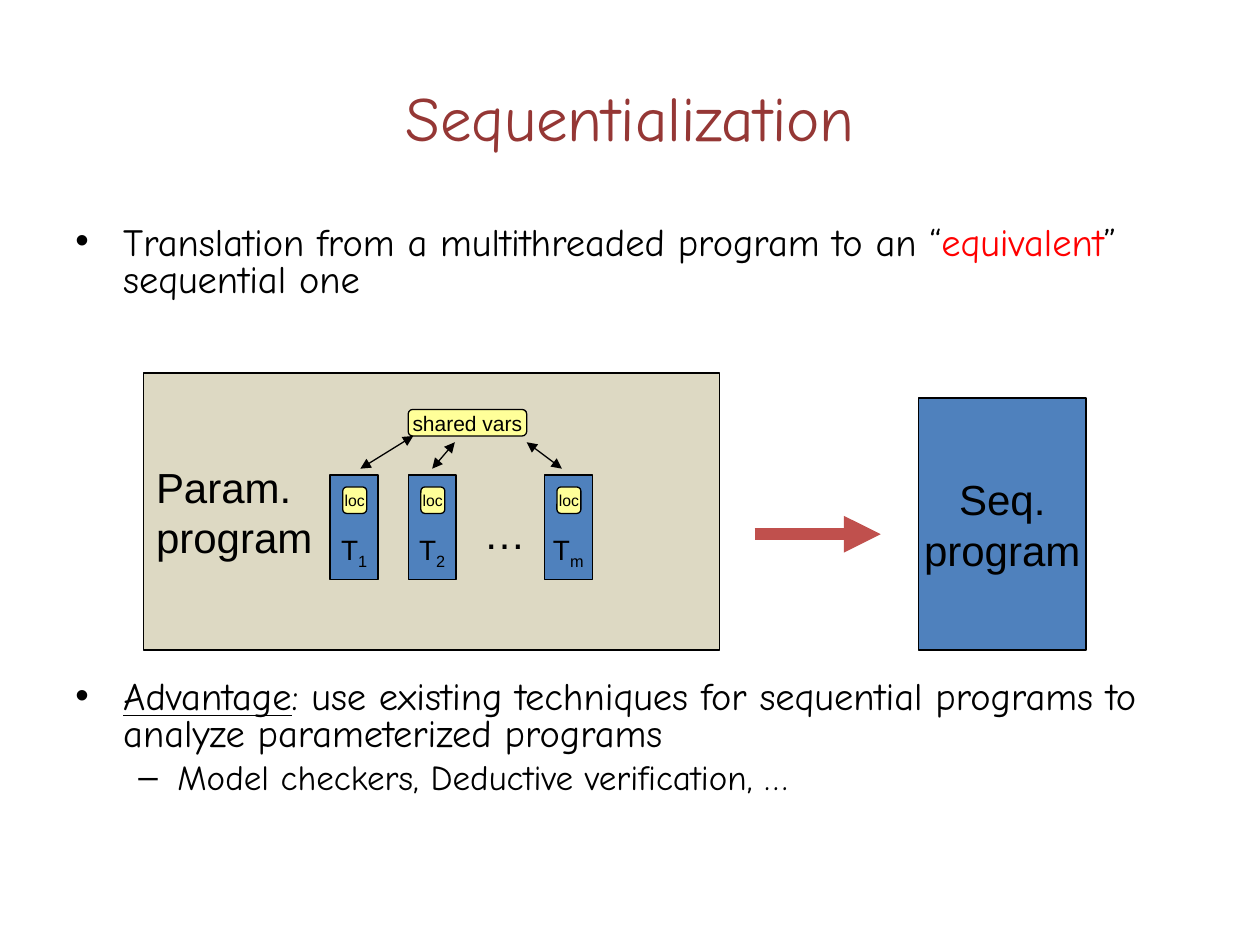
from dataclasses import dataclass

from lxml.etree import SubElement
from pptx import Presentation
from pptx.dml.color import RGBColor
from pptx.enum.shapes import MSO_CONNECTOR, MSO_SHAPE
from pptx.enum.text import MSO_ANCHOR, PP_ALIGN
from pptx.oxml.ns import qn
from pptx.util import Inches, Pt

BLACK = RGBColor(0x00, 0x00, 0x00)
RED = RGBColor(0xFF, 0x00, 0x00)
MAROON = RGBColor(0x95, 0x37, 0x35)
SAND = RGBColor(0xDD, 0xD9, 0xC3)
BLUE = RGBColor(0x4F, 0x81, 0xBD)
YELLOW = RGBColor(0xFF, 0xFF, 0x99)
BRICK = RGBColor(0xC0, 0x50, 0x4D)

# The slide is a grid of 100 columns by 75 rows
COLUMNS, ROWS = 100, 75
CELL = Inches(10) // COLUMNS


@dataclass(frozen=True)
class Area:
    col: float
    row: float
    cols: float
    rows: float

    def emu(self) -> list[int]:
        return [grid(n) for n in (self.col, self.row, self.cols, self.rows)]


@dataclass(frozen=True)
class Span:
    text: str
    size: float
    font: str = "Arial"
    color: RGBColor = BLACK
    underline: bool = False
    subscript: bool = False


@dataclass(frozen=True)
class Bullet:
    spans: list[Span]
    mark: str
    indent: float
    hang: float
    level: int = 0
    before: float = 0


@dataclass(frozen=True)
class Thread:
    col: float
    index: str


@dataclass(frozen=True)
class Arrow:
    start: tuple[float, float]
    end: tuple[float, float]
    color: RGBColor = BLACK
    width: float = 0.75
    double: bool = True


def grid(cells: float) -> int:
    return round(cells * CELL)


def add_spans(paragraph, spans: list[Span]) -> None:
    for span in spans:
        run = paragraph.add_run()
        run.text = span.text
        run.font.size = Pt(span.size)
        run.font.name = span.font
        run.font.color.rgb = span.color
        if span.underline:
            run.font.underline = True
        if span.subscript:
            run._r.get_or_add_rPr().set("baseline", "-25000")


def write(frame, lines: list[list[Span]], align=PP_ALIGN.CENTER, top: float = 0.05) -> None:
    frame.word_wrap = align == PP_ALIGN.LEFT
    frame.vertical_anchor = MSO_ANCHOR.MIDDLE
    frame.margin_top = Inches(top)
    for number, spans in enumerate(lines):
        paragraph = frame.add_paragraph() if number else frame.paragraphs[0]
        paragraph.alignment = align
        add_spans(paragraph, spans)


def add_box(slide, area: Area, fill: RGBColor, lines: list[list[Span]],
            kind=MSO_SHAPE.RECTANGLE, align=PP_ALIGN.CENTER, top: float = 0.05) -> None:
    box = slide.shapes.add_shape(kind, *area.emu())
    box.shadow.inherit = False
    box.fill.solid()
    box.fill.fore_color.rgb = fill
    box.line.color.rgb = BLACK
    box.line.width = Pt(0.75)
    write(box.text_frame, lines, align, top)


def add_label(slide, area: Area, span: Span, align=PP_ALIGN.CENTER) -> None:
    write(slide.shapes.add_textbox(*area.emu()).text_frame, [[span]], align)


def add_arrow(slide, arrow: Arrow) -> None:
    ends = [grid(n) for n in (*arrow.start, *arrow.end)]
    line = slide.shapes.add_connector(MSO_CONNECTOR.STRAIGHT, *ends)
    line.line.color.rgb = arrow.color
    line.line.width = Pt(arrow.width)
    outline = line.line._get_or_add_ln()
    for tip in ("a:headEnd", "a:tailEnd") if arrow.double else ("a:tailEnd",):
        SubElement(outline, qn(tip), type="triangle")
    SubElement(line._element.spPr, qn("a:effectLst"))


def add_bullets(slide, area: Area, bullets: list[Bullet]) -> None:
    frame = slide.shapes.add_textbox(*area.emu()).text_frame
    frame.word_wrap = True
    for number, bullet in enumerate(bullets):
        paragraph = frame.add_paragraph() if number else frame.paragraphs[0]
        paragraph.level = bullet.level
        paragraph.line_spacing = 0.8
        if number:
            paragraph.space_before = Pt(bullet.before)
        properties = paragraph._p.get_or_add_pPr()
        properties.set("marL", str(Inches(bullet.indent)))
        properties.set("indent", str(-Inches(bullet.hang)))
        color = SubElement(properties, qn("a:buClr"))
        SubElement(color, qn("a:srgbClr"), val=str(BLACK))
        SubElement(properties, qn("a:buFont"), typeface="Arial")
        SubElement(properties, qn("a:buChar"), char=bullet.mark)
        add_spans(paragraph, bullet.spans)


def comic(text: str, size: float = 22, color: RGBColor = BLACK, underline: bool = False) -> Span:
    return Span(text, size, "Comic Neue", color, underline)


BULLETS = [
    Bullet([comic("Translation from a multithreaded program to an “"),
            comic("equivalent", color=RED), comic("” sequential one")],
           "•", 0.38, 0.38),
    # The wide gap above leaves room for the diagram
    Bullet([comic("Advantage", underline=True),
            comic(": use existing techniques for sequential programs"
                  " to analyze parameterized programs")],
           "•", 0.38, 0.38, before=217.5),
    Bullet([comic("Model checkers, Deductive verification, …", 20)],
           "–", 0.81, 0.31, level=1, before=5),
]
THREADS = [Thread(26.2, "1"), Thread(32.4, "2"), Thread(43.2, "m")]
ARROWS = [
    Arrow((28.6, 37.2), (32.8, 34.6)),
    Arrow((34.3, 37.2), (36.1, 35.1)),
    Arrow((41.8, 35.1), (44.6, 37.2)),
    Arrow((59.9, 42.4), (69.9, 42.4), BRICK, 7, double=False),
]


def main() -> None:
    deck = Presentation()
    deck.slide_width, deck.slide_height = CELL * COLUMNS, CELL * ROWS
    slide = deck.slides.add_slide(deck.slide_layouts[6])

    # Title and bullets
    add_bullets(slide, Area(5, 17.5, 90, 49.5), BULLETS)
    add_label(slide, Area(5, 3, 90, 12.5), comic("Sequentialization", 36, MAROON))

    # Parameterized and sequential programs
    add_box(slide, Area(11.4, 29.6, 45.7, 22), SAND,
            [[Span("Param.", 24)], [Span("program", 24)]], align=PP_ALIGN.LEFT)
    add_box(slide, Area(72.9, 31.6, 13.3, 20), BLUE,
            [[Span("Seq.", 24)], [Span("program", 24)]])

    # Threads with their local variables
    for thread in THREADS:
        add_box(slide, Area(thread.col, 37.7, 3.8, 8.3), BLUE,
                [[Span("T", 16), Span(thread.index, 16, subscript=True)]], top=0.43)
        add_box(slide, Area(thread.col + 1, 38.65, 1.9, 2.1), YELLOW,
                [[Span("loc", 9)]], MSO_SHAPE.ROUNDED_RECTANGLE)
    add_label(slide, Area(37.4, 39.8, 5.3, 5), Span("…", 24), PP_ALIGN.LEFT)

    # Shared variables and links
    add_box(slide, Area(32.4, 32.5, 9.4, 2.1), YELLOW,
            [[Span("shared vars", 12)]], MSO_SHAPE.ROUNDED_RECTANGLE)
    for arrow in ARROWS:
        add_arrow(slide, arrow)

    deck.save("out.pptx")


if __name__ == "__main__":
    main()
